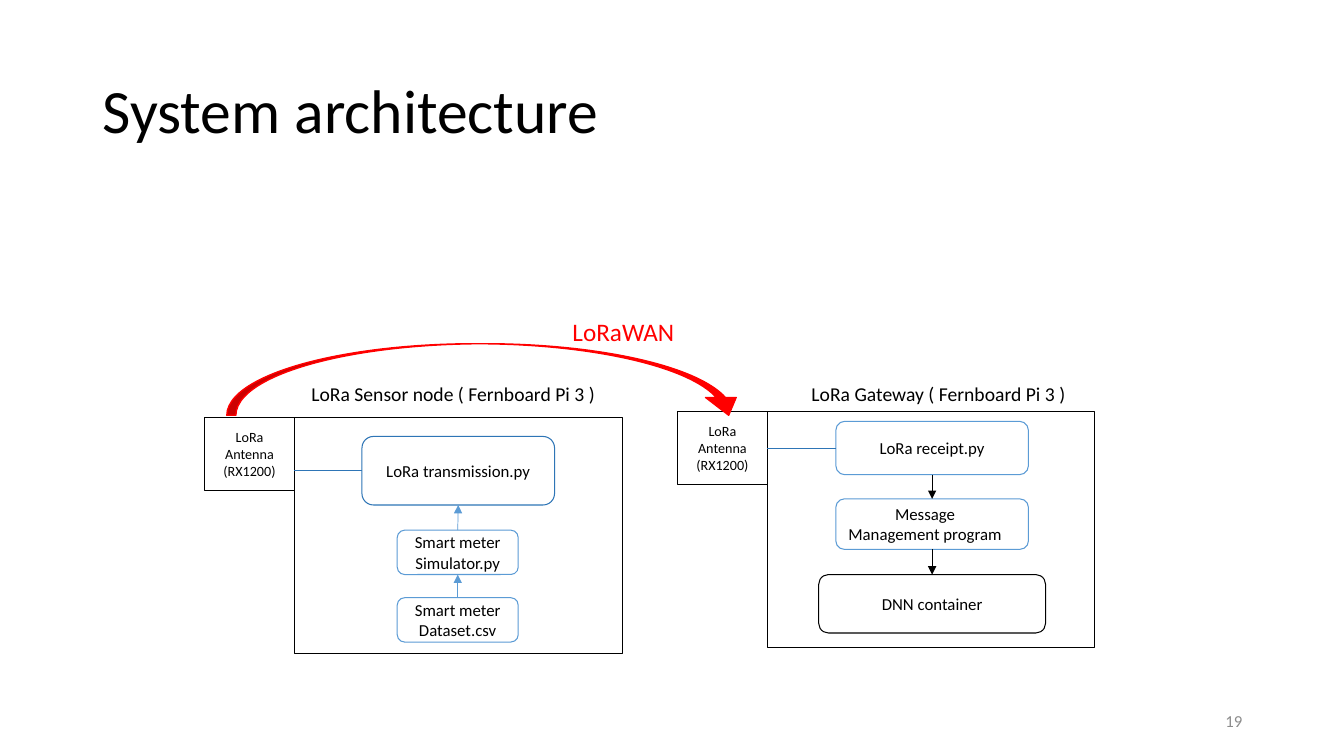
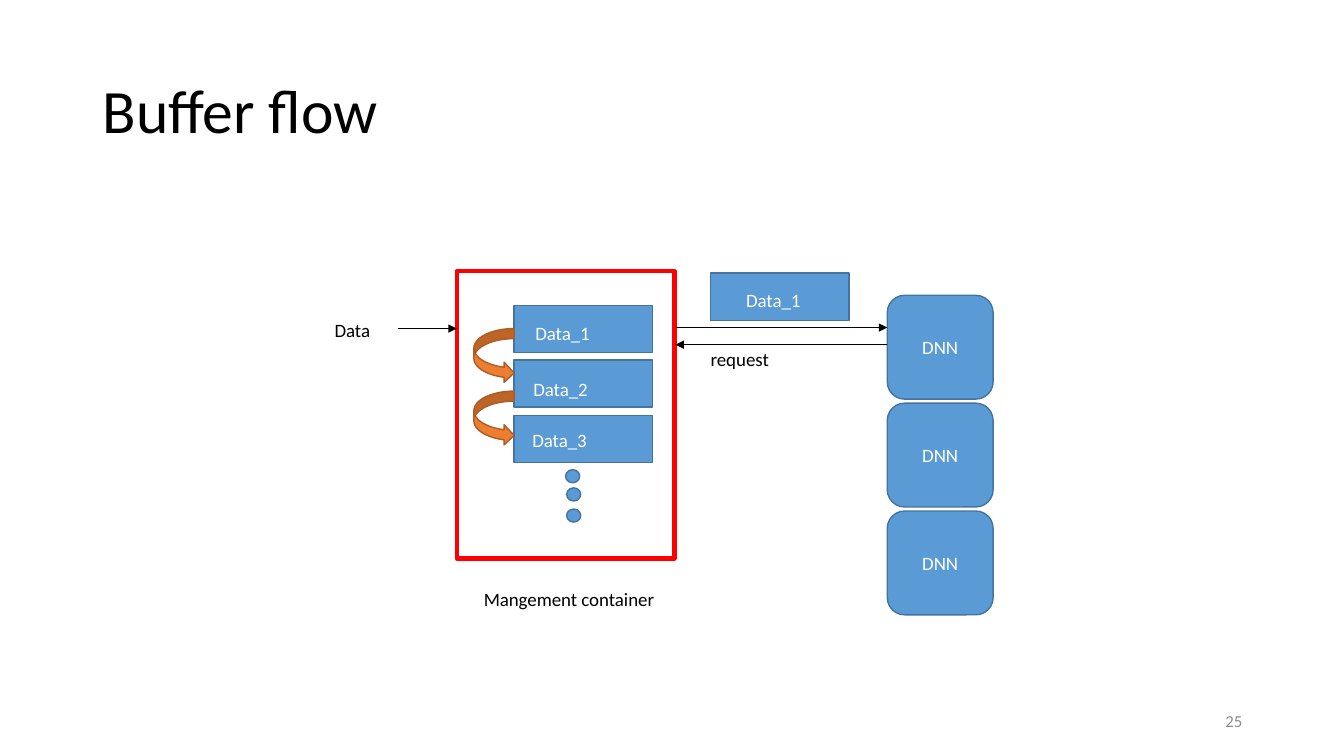
"""Build two slides: the system architecture and the buffer flow."""
from lxml import etree
from pptx import Presentation
from pptx.dml.color import RGBColor
from pptx.enum import shapes, text
from pptx.oxml import ns
from pptx.util import Inches, Pt

BLACK = RGBColor(0x00, 0x00, 0x00)
WHITE = RGBColor(0xFF, 0xFF, 0xFF)
RED = RGBColor(0xFF, 0x00, 0x00)
GREY = RGBColor(0x8C, 0x8C, 0x8C)
BLUE = RGBColor(0x5B, 0x9B, 0xD5)
STEEL = RGBColor(0x43, 0x73, 0x9E)
DEEP = RGBColor(0x2E, 0x75, 0xB6)
ORANGE = RGBColor(0xED, 0x7D, 0x31)
BROWN = RGBColor(0xAF, 0x5C, 0x24)

SHAPE = shapes.MSO_SHAPE
LEFT, CENTER, RIGHT = text.PP_ALIGN.LEFT, text.PP_ALIGN.CENTER, text.PP_ALIGN.RIGHT
TOP, MIDDLE = text.MSO_ANCHOR.TOP, text.MSO_ANCHOR.MIDDLE
INSETS = (0.1, 0.05, 0.1, 0.05)


def write(tf, content, size=12, color=BLACK, align=LEFT, anchor=TOP, spacing=None, insets=INSETS):
    tf.word_wrap = True
    tf.vertical_anchor = anchor
    tf.margin_left, tf.margin_top, tf.margin_right, tf.margin_bottom = map(Inches, insets)
    for i, line in enumerate(content.split("\n")):
        p = tf.add_paragraph() if i else tf.paragraphs[0]
        p.alignment = align
        p.line_spacing = spacing
        r = p.add_run()
        r.text = line
        r.font.name = "Calibri"
        r.font.size = Pt(size)
        r.font.color.rgb = color


class Deck:
    def __init__(self):
        self.prs = Presentation()
        self.prs.slide_width, self.prs.slide_height = Inches(13.33), Inches(7.5)
        self.s = None

    def slide(self, title, number):
        self.s = self.prs.slides.add_slide(self.prs.slide_layouts[6])
        self.label(title, 0.92, 0.4, 11.5, 1.45, size=44, anchor=MIDDLE, spacing=0.9)
        self.label(number, 9.42, 6.95, 3, 0.4, color=GREY, align=RIGHT, anchor=MIDDLE)

    def label(self, content, x, y, w, h=0.34, **style):
        sp = self.s.shapes.add_textbox(Inches(x), Inches(y), Inches(w), Inches(h))
        write(sp.text_frame, content, **style)

    def shape(self, kind, x, y, w, h, content="", fill=None, line=BLACK, weight=0.75,
              adjust=(), **style):
        sp = self.s.shapes.add_shape(kind, Inches(x), Inches(y), Inches(w), Inches(h))
        sp.shadow.inherit = False
        if fill is None:
            sp.fill.background()
        else:
            sp.fill.solid()
            sp.fill.fore_color.rgb = fill
        sp.line.color.rgb = line
        sp.line.width = Pt(weight)
        for i, value in enumerate(adjust):
            sp.adjustments[i] = value
        if content:
            write(sp.text_frame, content, **{"align": CENTER, "anchor": MIDDLE, **style})
        return sp

    def step(self, content, x, y, w, h, line=BLUE, **style):
        return self.shape(SHAPE.ROUNDED_RECTANGLE, x, y, w, h, content, line=line, **style)

    def solid(self, kind, x, y, w, h, content="", **style):
        return self.shape(kind, x, y, w, h, content, fill=BLUE, line=STEEL, weight=1,
                          size=13.5, color=WHITE, **style)

    def data(self, content, x, y, left, top):
        self.solid(SHAPE.RECTANGLE, x, y, 1.37, 0.47, content, align=LEFT, anchor=TOP,
                   insets=(left, top, 0, 0))

    def device(self, title, title_x, x, y):
        self.shape(SHAPE.RECTANGLE, x, y, 3.25, 2.34)
        self.label(title, title_x, 3.74, 3.13, size=14)
        return self.shape(SHAPE.RECTANGLE, x - 0.89, y, 0.89, 0.73, "LoRa\nAntenna\n(RX1200)",
                          size=10.1, insets=(0.06, 0.03, 0.06, 0.03))

    def line(self, start=(0, 0), end=(0, 0), color=BLACK, arrow=True, source=None, target=None):
        cx = self.s.shapes.add_connector(shapes.MSO_CONNECTOR.STRAIGHT,
                                         *map(Inches, (*start, *end)))
        if source:
            cx.begin_connect(*source)
        if target:
            cx.end_connect(*target)
        cx.line.color.rgb = color
        cx.line.width = Pt(0.5)
        if arrow:
            etree.SubElement(cx.line._get_or_add_ln(), ns.qn("a:tailEnd"), type="triangle")
        etree.SubElement(cx._element.spPr, ns.qn("a:effectLst"))


def architecture(deck):
    deck.slide("System architecture", "19")
    deck.device("LoRa Sensor node ( Fernboard Pi 3 )", 2.99, 2.92, 4.14)
    antenna = deck.device("LoRa Gateway ( Fernboard Pi 3 )", 7.95, 7.61, 4.08)

    sender = deck.step("LoRa transmission.py", 3.59, 4.33, 1.91, 0.68, line=DEEP)
    simulator = deck.step("Smart meter\nSimulator.py", 3.94, 5.26, 1.2, 0.44)
    dataset = deck.step("Smart meter Dataset.csv", 3.94, 5.93, 1.2, 0.44)
    deck.line(source=(dataset, 0), target=(simulator, 2), color=BLUE)
    deck.line(source=(simulator, 0), target=(sender, 2), color=BLUE)
    deck.line(start=(2.92, 4.67), target=(sender, 1), color=DEEP, arrow=False)

    receipt = deck.step("LoRa receipt.py", 8.29, 4.18, 1.91, 0.53)
    manager = deck.step("Message\nManagement program", 8.29, 4.95, 1.91, 0.5,
                        insets=(0.05, 0.05, 0.19, 0.05))
    container = deck.step("DNN container", 8.12, 5.7, 2.25, 0.58, line=BLACK)
    deck.line(source=(receipt, 2), target=(manager, 0))
    deck.line(source=(manager, 2), target=(container, 0))
    deck.line(source=(antenna, 3), target=(receipt, 1), color=DEEP, arrow=False)

    deck.shape(SHAPE.CURVED_DOWN_ARROW, 2.25, 3.41, 5.13, 0.71, fill=RED, line=RED, weight=1,
               adjust=(0.127, 0.429, 0.249))
    deck.label("LoRaWAN", 5.58, 3.09, 1.3, 0.4, size=18, color=RED)


def buffer_flow(deck):
    deck.slide("Buffer flow", "25")
    for content, x, y, left, top in (("Data_1", 5.1, 3.03, 0.21, 0.16),
                                     ("Data_2", 5.1, 3.57, 0.19, 0.18),
                                     ("Data_3", 5.1, 4.12, 0.18, 0.13),
                                     ("Data_1", 7.05, 2.71, 0.35, 0.15)):
        deck.data(content, x, y, left, top)
    for y in (3.26, 3.88):
        deck.shape(SHAPE.CURVED_RIGHT_ARROW, 4.7, y, 0.4, 0.54, fill=ORANGE, line=BROWN, weight=1)
    for x, y in ((5.61, 4.66), (5.62, 4.84), (5.62, 5.05)):
        deck.solid(SHAPE.OVAL, x, y, 0.14, 0.13)
    for i in range(3):
        deck.solid(SHAPE.ROUNDED_RECTANGLE, 8.8, 2.93 + 1.07 * i, 1.05, 1.03, "DNN")
    deck.shape(SHAPE.RECTANGLE, 4.53, 2.69, 2.16, 2.85, line=RED, weight=3)
    for start, end in (((3.95, 3.26), (4.53, 3.26)),
                       ((6.7, 3.25), (8.8, 3.25)),
                       ((8.8, 3.42), (6.7, 3.42))):
        deck.line(start, end)
    for content, x, y, w in (("Data", 3.22, 3.11, 0.7),
                             ("request", 6.95, 3.4, 0.9),
                             ("Mangement container", 4.7, 5.78, 2)):
        deck.label(content, x, y, w, size=13.5)


def main():
    deck = Deck()
    architecture(deck)
    buffer_flow(deck)
    deck.prs.save("out.pptx")


if __name__ == "__main__":
    main()
